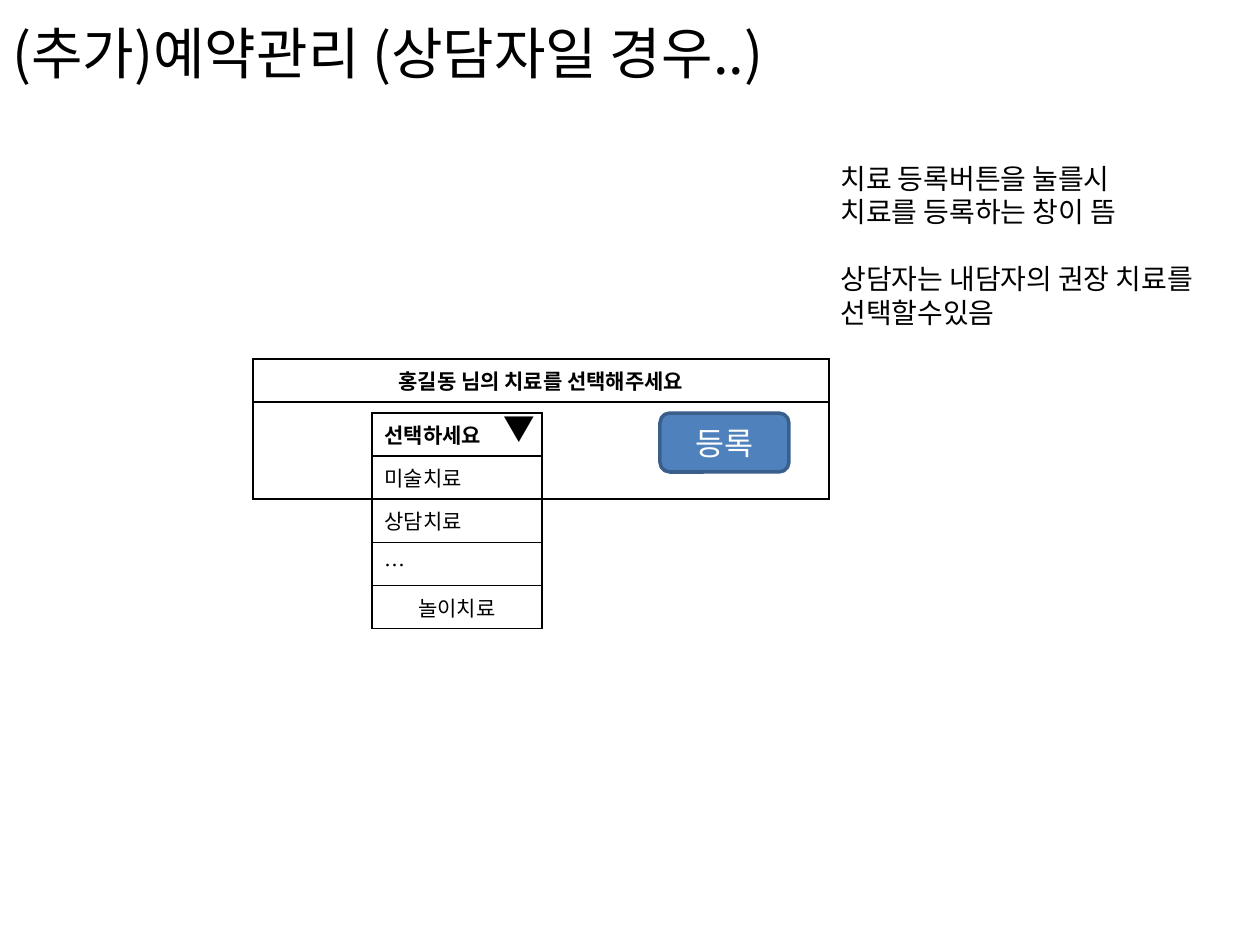
from lxml import etree
from pptx import Presentation
from pptx import util as u
from pptx.dml.color import RGBColor
from pptx.enum import shapes, text
from pptx.oxml.ns import qn

THEME = {
    "font": "Noto Sans CJK KR",
    "ink": "000000", "white": "FFFFFF", "button": "4F81BD", "edge": "3A5F8C",
    "title": 32, "label": 18, "note": 16, "cell": 12,
}
CENTER, LEFT = text.PP_ALIGN.CENTER, text.PP_ALIGN.LEFT
MIDDLE, TOP = text.MSO_ANCHOR.MIDDLE, text.MSO_ANCHOR.TOP
PX = 914400 / 126


def px(*values):
    return [u.Emu(round(v * PX)) for v in values]


def write(tf, lines, size, color="ink", align=LEFT, bold=False):
    for i, line in enumerate(lines):
        p = tf.paragraphs[0] if i == 0 else tf.add_paragraph()
        p.add_run().text = line
        p.alignment = align
        p.font.size = u.Pt(THEME[size])
        p.font.bold = bold
        p.font.color.rgb = RGBColor.from_string(THEME[color])
        p.font.name = THEME["font"]
        props = p._p.pPr.find(qn("a:defRPr"))
        etree.SubElement(props, qn("a:ea"), typeface=THEME["font"])


prs = Presentation()
prs.slide_width, prs.slide_height = px(1260, 945)
s = prs.slides.add_slide(prs.slide_layouts[6])

tables = [
    ((253, 359, 576), [43, 97], [("홍길동 님의 치료를 선택해주세요", CENTER), ("", LEFT)]),
    ((372, 413, 170), [43] * 5, [("선택하세요", LEFT), ("미술치료", LEFT), ("상담치료", LEFT),
                                 ("…", LEFT), ("놀이치료", CENTER)]),
]
for (x, y, w), heights, rows in tables:
    tbl = s.shapes.add_table(len(rows), 1, *px(x, y, w, sum(heights))).table
    tbl.first_row = tbl.horz_banding = False
    for i, (label, align) in enumerate(rows):
        tbl.rows[i].height = px(heights[i])[0]
        cell = tbl.cell(i, 0)
        cell.vertical_anchor = MIDDLE
        tcPr = cell._tc.get_or_add_tcPr()
        for side in ("lnL", "lnR", "lnT", "lnB"):
            ln = etree.SubElement(tcPr, qn(f"a:{side}"), w=str(u.Pt(1)))
            fill = etree.SubElement(ln, qn("a:solidFill"))
            etree.SubElement(fill, qn("a:srgbClr"), val=THEME["ink"])
        cell.fill.background()
        if label:
            write(cell.text_frame, [label], "cell", align=align, bold=i == 0)

sp = s.shapes.add_shape(shapes.MSO_SHAPE.ROUNDED_RECTANGLE, *px(660, 413, 129, 59))
sp.shadow.inherit = False
sp.fill.solid()
sp.fill.fore_color.rgb = RGBColor.from_string(THEME["button"])
sp.line.color.rgb = RGBColor.from_string(THEME["edge"])
sp.line.width = u.Pt(2)
sp.text_frame.vertical_anchor = MIDDLE
write(sp.text_frame, ["등록"], "label", "white", CENTER)

notes = ["치료 등록버튼을 눌를시", "치료를 등록하는 창이 뜸",
         "상담자는 내담자의 권장 치료를", "선택할수있음"]
boxes = [
    ((491, 403, 49, 50), ["▼"], "label", TOP),
    ((828, 155, 432, 183), notes, "note", TOP),
    ((0, -1, 1223, 107), ["(추가)예약관리 (상담자일 경우..)"], "title", MIDDLE),
]
for at, lines, size, anchor in boxes:
    tf = s.shapes.add_textbox(*px(*at)).text_frame
    tf.word_wrap = True
    tf.vertical_anchor = anchor
    write(tf, lines, size)
    if lines is notes:
        tf.paragraphs[2].space_before = u.Pt(19)

prs.save("out.pptx")
